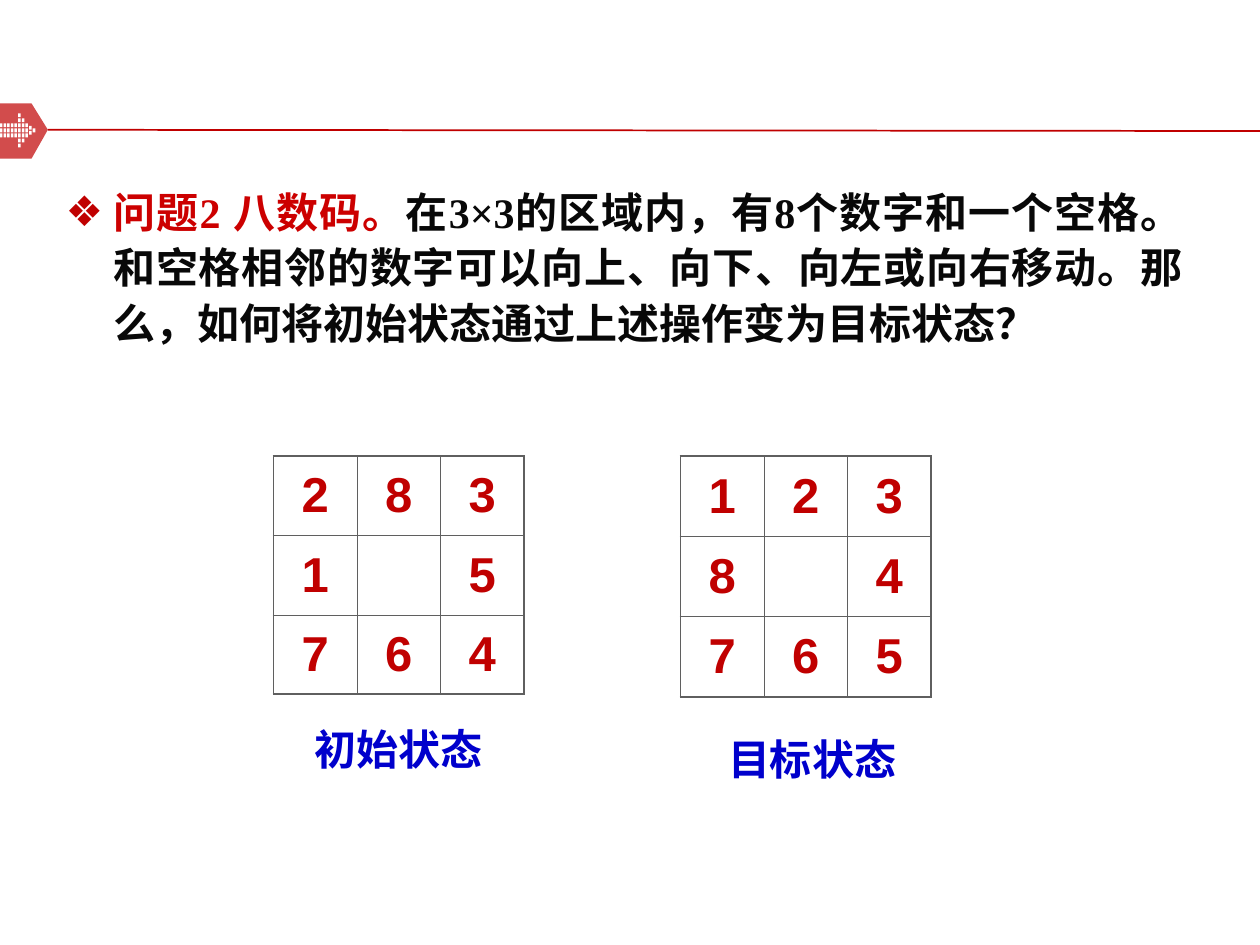
import pptx
import pptx.dml.color
import pptx.enum.shapes
import pptx.enum.text
import pptx.oxml
import pptx.oxml.ns
import pptx.util
from pptx.util import Inches

RED = pptx.dml.color.RGBColor(0xC0, 0x00, 0x00)
HEADING_RED = pptx.dml.color.RGBColor(0xCC, 0x00, 0x00)
BLACK = pptx.dml.color.RGBColor(0x08, 0x08, 0x08)
BLUE = pptx.dml.color.RGBColor(0x00, 0x00, 0xCC)
GREY = pptx.dml.color.RGBColor(0x5F, 0x5F, 0x5F)
WHITE = pptx.dml.color.RGBColor(0xFF, 0xFF, 0xFF)

NAMESPACE = pptx.oxml.ns.nsdecls("a")
OUTER_LINE, INNER_LINE = pptx.util.Pt(1.08), pptx.util.Pt(0.45)

START = ("283", "1 5", "764")
GOAL = ("123", "8 4", "765")


def add_xml(parent, tag, attributes="", content=""):
    parent.append(pptx.oxml.parse_xml(
        f"<a:{tag} {NAMESPACE} {attributes}>{content}</a:{tag}>"))


def add_outline(page, contours, color):
    builder = page.shapes.build_freeform(*contours[0][0], scale=1.0)
    for index, points in enumerate(contours):
        if index:
            builder.move_to(*points[0])
        builder.add_line_segments(points[1:], close=True)
    shape = builder.convert_to_shape()
    shape.shadow.inherit = False
    shape.fill.solid()
    shape.fill.fore_color.rgb = color
    shape.line.fill.background()
    return shape


def dot_contour(left, top):
    right, bottom = left + Inches(0.02), top + Inches(0.03)
    return [(left, top), (right, top), (right, bottom), (left, bottom)]


def add_header(page, left, top, width, height):
    shoulder, tip = left + Inches(0.25), left + Inches(0.38)
    middle, bottom = top + Inches(0.21), top + height
    badge = add_outline(page, [[(left, top), (shoulder, top), (tip, middle),
                                (shoulder, bottom), (left, bottom)]], RED)
    color = badge.fill._xPr.find(".//" + pptx.oxml.ns.qn("a:srgbClr"))
    add_xml(color, "alpha", 'val="70000"')

    shaft = range(9)
    dots = [(6, 0), (6, 1), (7, 1), (9, 2.5), (10, 3), (9, 3.5), (6, 5), (7, 5), (6, 6)]
    dots += [(column, row) for row in (2, 3, 4) for column in shaft]
    add_outline(page, [dot_contour(left + Inches(-0.03 + 0.029 * column),
                                   top + Inches(0.08 + 0.04 * row))
                       for column, row in dots], WHITE)

    rule = page.shapes.add_connector(
        pptx.enum.shapes.MSO_CONNECTOR.STRAIGHT,
        tip, middle, left + width, middle + Inches(0.01))
    rule.line.color.rgb = RED
    rule.line.width = pptx.util.Pt(1)
    add_xml(rule._element.spPr, "effectLst")


def add_problem(page, left, top, width, height):
    body = page.placeholders[1]
    body.left, body.top, body.width, body.height = left, top, width, height
    frame = body.text_frame
    frame.word_wrap = True
    frame.auto_size = pptx.enum.text.MSO_AUTO_SIZE.NONE
    para = frame.paragraphs[0]
    para.alignment = pptx.enum.text.PP_ALIGN.JUSTIFY
    para.line_spacing = 1.1
    para.space_before = pptx.util.Pt(8.5)
    para.space_after = pptx.util.Pt(6)
    properties = para._p.get_or_add_pPr()
    properties.set("marL", str(Inches(0.38)))
    properties.set("indent", str(-Inches(0.38)))
    properties.set("hangingPunct", "0")
    add_xml(properties, "buClr", content=f'<a:srgbClr val="{RED}"/>')
    add_xml(properties, "buChar", 'char="❖"')
    para.font.name = "Times New Roman"
    para.font.size = pptx.util.Pt(24)
    para.font.bold = True
    for text, color in (
        ("问题2 八数码。", HEADING_RED),
        ("在3×3的区域内，有8个数字和一个空格。和空格相邻的数字可以向上、向下、"
         "向左或向右移动。那么，如何将初始状态通过上述操作变为目标状态？", BLACK),
    ):
        span = para.add_run()
        span.text = text
        span.font.color.rgb = color


def format_text(para, size, color):
    para.font.name = "Arial"
    para.font.size = pptx.util.Pt(size)
    para.font.bold = True
    para.font.color.rgb = color


def add_puzzle(page, left, top, width, height, digits):
    count = len(digits)
    table = page.shapes.add_table(count, count, left, top, width, height).table
    table.first_row = table.horz_banding = False
    for row, line in enumerate(digits):
        for column, digit in enumerate(line):
            cell = table.cell(row, column)
            cell.vertical_anchor = pptx.enum.text.MSO_ANCHOR.MIDDLE
            edges = {"lnL": column == 0, "lnR": column == count - 1,
                     "lnT": row == 0, "lnB": row == count - 1}
            for tag, outer in edges.items():
                add_xml(cell._tc.get_or_add_tcPr(), tag,
                        f'w="{OUTER_LINE if outer else INNER_LINE}"',
                        f'<a:solidFill><a:srgbClr val="{GREY}"/></a:solidFill>')
            cell.fill.background()
            if digit != " ":
                cell.text = digit
                para = cell.text_frame.paragraphs[0]
                para.alignment = pptx.enum.text.PP_ALIGN.CENTER
                format_text(para, 28, RED)


def add_caption(page, left, top, width, height, text):
    box = page.shapes.add_textbox(left, top, width, height)
    box.text_frame.word_wrap = False
    box.text_frame.auto_size = pptx.enum.text.MSO_AUTO_SIZE.SHAPE_TO_FIT_TEXT
    para = box.text_frame.paragraphs[0]
    para.text = text
    format_text(para, 24, BLUE)


def main():
    deck = pptx.Presentation()
    deck.slide_width, deck.slide_height = Inches(10), Inches(7.5)
    page = deck.slides.add_slide(deck.slide_layouts[1])
    title = page.shapes.title._element
    title.getparent().remove(title)

    add_header(page, Inches(0), Inches(0.82), deck.slide_width, Inches(0.44))
    add_problem(page, Inches(0.42), Inches(1.39), Inches(9.07), Inches(5.49))
    add_puzzle(page, Inches(2.17), Inches(3.62), Inches(1.99), Inches(1.89), START)
    add_puzzle(page, Inches(5.4), Inches(3.62), Inches(1.99), Inches(1.91), GOAL)
    add_caption(page, Inches(5.68), Inches(5.77), Inches(1.53), Inches(0.5), "目标状态")
    add_caption(page, Inches(2.4), Inches(5.69), Inches(1.53), Inches(0.5), "初始状态")
    deck.save("out.pptx")


if __name__ == "__main__":
    main()
